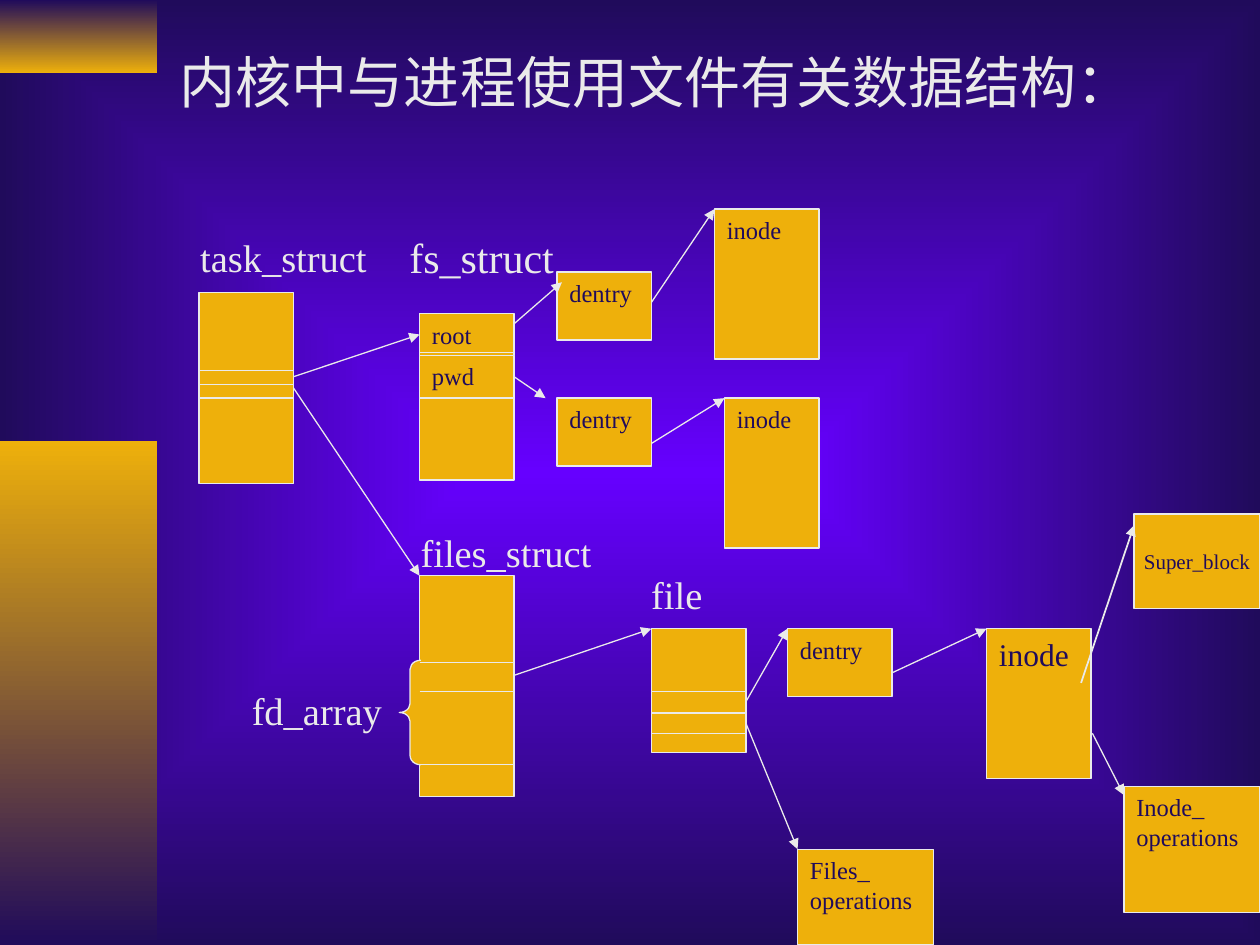
"""Build a slide of the kernel data structures behind a process's open files."""
from lxml.etree import SubElement
from pptx import Presentation
from pptx.dml.color import RGBColor
from pptx.enum.shapes import MSO_CONNECTOR, MSO_SHAPE
from pptx.enum.text import MSO_ANCHOR, MSO_AUTO_SIZE, PP_ALIGN
from pptx.oxml.ns import qn
from pptx.util import Inches, Pt

FONT = "Times New Roman"
GOLD, NAVY, VIOLET, PALE = "EEB00B", "200B5B", "6600FF", "EAEAEA"

TITLE = ("内核中与进程使用文件有关数据结构：", 1.33, 0.33, 8.67, 0.64)
BANDS = [(0, 0.58, NAVY, GOLD), (3.5, 4, GOLD, NAVY)]
BAND_WIDTH = 1.25

BOXES = {
    "task": ("", 1.58, 2.32, 0.75, 1.52),
    "root": ("root", 3.33, 2.49, 0.75, 0.33),
    "pwd": ("pwd", 3.33, 2.82, 0.75, 0.34),
    "fs rest": ("", 3.33, 3.16, 0.75, 0.65),
    "files": ("", 3.33, 4.57, 0.75, 1.75),
    "root dentry": ("dentry", 4.42, 2.16, 0.75, 0.54),
    "pwd dentry": ("dentry", 4.42, 3.16, 0.75, 0.54),
    "file": ("", 5.17, 4.99, 0.75, 0.98),
    "file dentry": ("dentry", 6.25, 4.99, 0.83, 0.54),
    "file ops": ("Files_\noperations", 6.33, 6.74, 1.08, 0.76),
    "file inode": ("inode", 7.83, 4.99, 0.83, 1.19),
    "inode ops": ("Inode_\noperations", 8.92, 6.24, 1.08, 1),
    "pwd inode": ("inode", 5.75, 3.16, 0.75, 1.19),
    "root inode": ("inode", 5.67, 1.66, 0.83, 1.19),
    "super": ("Super_block", 9, 4.08, 1, 0.75),
}
BOX_FORMATS = {
    "file inode": {"size": 18},
    "super": {"size": 12, "align": PP_ALIGN.CENTER,
              "anchor": MSO_ANCHOR.MIDDLE, "wrap": False},
}
BRACE = (3.17, 5.24, 0.17, 0.83)
DIVIDERS = {
    "task": [2.94, 3.05, 3.16],
    "root": [2.8],
    "files": [5.26, 5.49, 6.07],
    "file": [5.49, 5.66, 5.82],
}
ARROWS = [
    ((2.33, 2.99), (3.33, 2.66), None, ("root", 1)),
    ((2.33, 3.07), (3.33, 4.57), ("task", 3), None),
    ((4.08, 2.57), (4.46, 2.24), None, None),
    ((4.08, 2.99), (4.33, 3.16), ("pwd", 3), None),
    ((5.17, 2.4), (5.67, 1.66), None, None),
    ((5.17, 3.52), (5.75, 3.16), None, None),
    ((4.08, 5.36), (5.17, 4.99), None, None),
    ((5.92, 5.57), (6.25, 4.99), None, None),
    ((5.92, 5.74), (6.33, 6.74), None, None),
    ((7.08, 5.34), (7.83, 4.99), None, None),
    ((8.67, 5.82), (8.92, 6.31), None, None),
    ((8.58, 5.42), (9, 4.17), None, None),
]
THICK_BOX, THICK_ARROW = "super", ARROWS[-1]
LABELS = [
    ("task_struct", 1.49, 1.81, 1.55, 0.47, 22),
    ("fs_struct", 3.15, 1.79, 1.38, 0.5, 24),
    ("files_struct", 3.24, 4.15, 1.6, 0.47, 22),
    ("file", 5.07, 4.48, 0.65, 0.47, 22),
    ("fd_array", 1.9, 5.4, 1.26, 0.47, 22),
]


def color(code):
    return RGBColor.from_string(code)


def write(shape, text, size=14, ink=NAVY, align=PP_ALIGN.LEFT,
          anchor=MSO_ANCHOR.TOP, wrap=True):
    frame = shape.text_frame
    frame.text = text
    frame.word_wrap = wrap
    frame.vertical_anchor = anchor
    for paragraph in frame.paragraphs:
        paragraph.alignment = align
        paragraph.font.name = FONT
        paragraph.font.size = Pt(size)
        paragraph.font.color.rgb = color(ink)


def shade(fill, start, end):
    fill.gradient()
    for stop, code in zip(fill.gradient_stops, (start, end)):
        stop.color.rgb = color(code)


def add_block(slide, preset, place, weight=0.75):
    block = slide.shapes.add_shape(preset, *map(Inches, place))
    block.shadow.inherit = False
    block.fill.solid()
    block.fill.fore_color.rgb = color(GOLD)
    block.line.color.rgb = color(PALE)
    block.line.width = Pt(weight)
    return block


def add_line(slide, start, end, weight=0.75, arrow=False):
    line = slide.shapes.add_connector(
        MSO_CONNECTOR.STRAIGHT, *map(Inches, start + end))
    line.line.color.rgb = color(PALE)
    line.line.width = Pt(weight)
    if arrow:
        SubElement(line.line._get_or_add_ln(), qn("a:tailEnd"), type="triangle")
    SubElement(line._element.spPr, qn("a:effectLst"))
    return line


def add_label(slide, text, place, **text_format):
    label = slide.shapes.add_textbox(*map(Inches, place))
    write(label, text, ink=PALE, **text_format)
    label.text_frame.auto_size = MSO_AUTO_SIZE.SHAPE_TO_FIT_TEXT


def paint_background(slide):
    background = slide.background
    shade(background.fill, VIOLET, NAVY)
    linear = next(background._cSld.iter(qn("a:lin")))
    gradient = linear.getparent()
    gradient.remove(linear)
    center = SubElement(gradient, qn("a:path"), path="rect")
    SubElement(center, qn("a:fillToRect"), l="50000", t="50000",
               r="50000", b="50000")


def main():
    deck = Presentation()
    deck.slide_width, deck.slide_height = Inches(10), Inches(7.5)
    slide = deck.slides.add_slide(deck.slide_layouts[6])
    paint_background(slide)

    for top, height, start, end in BANDS:
        band = add_block(slide, MSO_SHAPE.RECTANGLE, (0, top, BAND_WIDTH, height))
        shade(band.fill, start, end)
        band.fill.gradient_angle = 270
        band.line.fill.background()

    title, *title_place = TITLE
    add_label(slide, title, title_place, size=32)

    boxes = {}
    for name, (text, *place) in BOXES.items():
        weight = 1 if name == THICK_BOX else 0.75
        boxes[name] = add_block(slide, MSO_SHAPE.RECTANGLE, place, weight)
        if text:
            write(boxes[name], text, **BOX_FORMATS.get(name, {}))

    brace = add_block(slide, MSO_SHAPE.LEFT_BRACE, BRACE)
    brace.adjustments[0] = 0.42

    for name, heights in DIVIDERS.items():
        _, left, _, width, _ = BOXES[name]
        for y in heights:
            add_line(slide, (left, y), (left + width, y))

    for arrow in ARROWS:
        start, end, source, target = arrow
        weight = 1 if arrow is THICK_ARROW else 0.75
        pointer = add_line(slide, start, end, weight, arrow=True)
        if source:
            pointer.begin_connect(boxes[source[0]], source[1])
        if target:
            pointer.end_connect(boxes[target[0]], target[1])

    for text, *place, size in LABELS:
        add_label(slide, text, place, size=size, wrap=False)

    deck.save("out.pptx")


if __name__ == "__main__":
    main()
